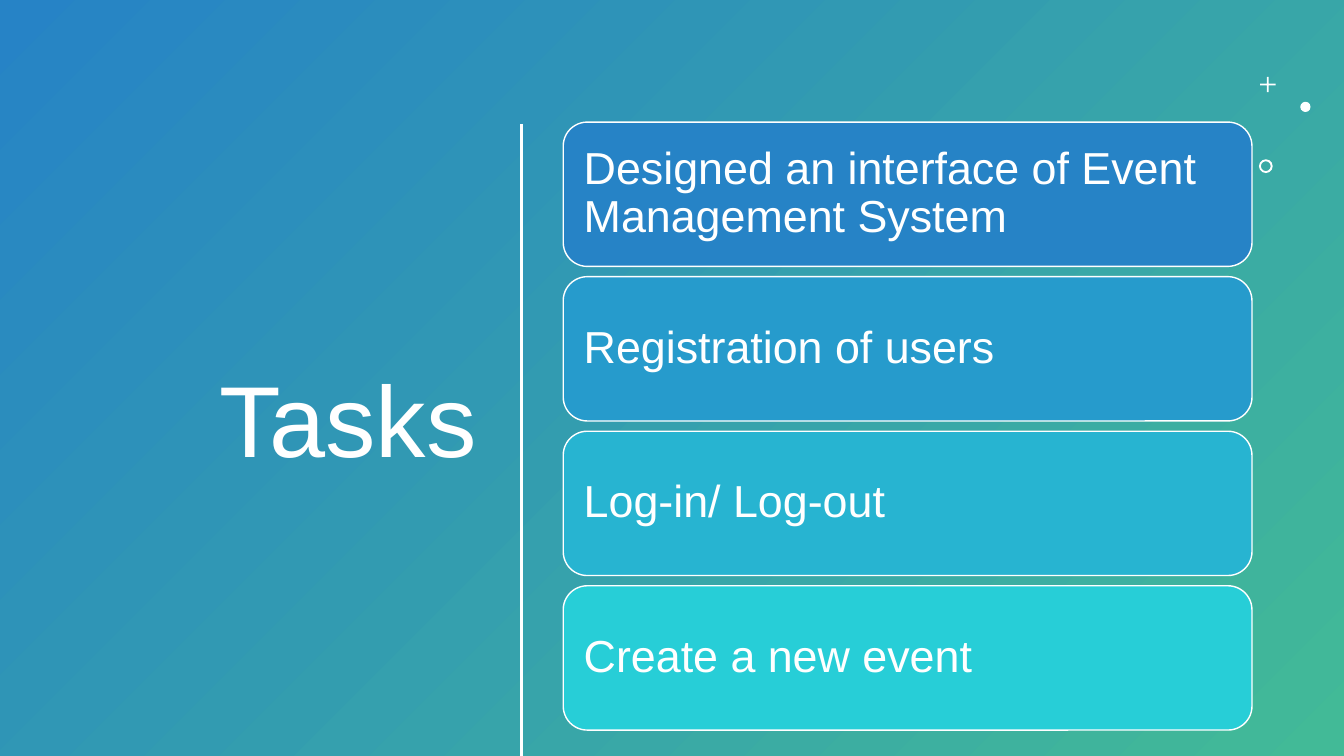
from lxml.etree import SubElement
from pptx import Presentation
from pptx.dml.color import RGBColor
from pptx.enum.shapes import MSO_CONNECTOR, MSO_SHAPE
from pptx.enum.text import MSO_ANCHOR, MSO_AUTO_SIZE, PP_ALIGN
from pptx.oxml.ns import qn
from pptx.util import Pt

COLORS = {"white": "FFFFFF", "blue": "2683C6", "sky": "269BCC",
          "cyan": "27B4D1", "turquoise": "27CED7", "green": "42BA97"}

TITLE = "Tasks"
TASKS = [
    ("Designed an interface of Event Management System", "blue"),
    ("Registration of users", "sky"),
    ("Log-in/ Log-out", "cyan"),
    ("Create a new event", "turquoise"),
]
ORNAMENTS = [
    (MSO_SHAPE.CROSS, 900.1, 54.9, 11, 0.44),
    (MSO_SHAPE.OVAL, 928.8, 72.7, 7.3, None),
    (MSO_SHAPE.DONUT, 899.3, 113.8, 9.8, 0.14),
]

SLIDE_WIDTH, SLIDE_HEIGHT = 960, 540
CARD_LEFT, CARD_TOP, CARD_WIDTH, CARD_HEIGHT = 402.3, 87.2, 492, 103.1
CARD_PITCH = 110.4
CARD_INSET = 9.6
RULE_X, RULE_TOP = 372.4, 88.5


def color(name):
    return RGBColor.from_string(COLORS[name])


def apply(target, values):
    for name, value in values.items():
        setattr(target, name, value)


def write(shape, text, size, alignment):
    frame = shape.text_frame
    frame.text = text
    apply(frame, {"word_wrap": True, "auto_size": MSO_AUTO_SIZE.NONE,
                  "vertical_anchor": MSO_ANCHOR.MIDDLE})
    paragraph = frame.paragraphs[0]
    apply(paragraph, {"alignment": alignment, "line_spacing": 0.9})
    font = paragraph.runs[0].font
    apply(font, {"name": "Arial", "size": Pt(size)})
    font.color.rgb = color("white")


def add_shape(slide, kind, left, top, width, height, fill=None):
    shape = slide.shapes.add_shape(kind, Pt(left), Pt(top), Pt(width), Pt(height))
    shape.shadow.inherit = False
    shape.line.fill.background()
    if fill:
        shape.fill.solid()
        shape.fill.fore_color.rgb = color(fill)
    return shape


def add_backdrop(slide):
    backdrop = add_shape(slide, MSO_SHAPE.RECTANGLE, 0, 0, SLIDE_WIDTH, SLIDE_HEIGHT)
    backdrop.fill.gradient()
    backdrop.fill.gradient_angle = 315
    for stop, name, position in zip(backdrop.fill.gradient_stops, ("blue", "green"), (0, 1)):
        stop.color.rgb = color(name)
        stop.position = position
    return backdrop


def add_rule(slide):
    rule = slide.shapes.add_connector(
        MSO_CONNECTOR.STRAIGHT, Pt(RULE_X), Pt(RULE_TOP), Pt(RULE_X), Pt(SLIDE_HEIGHT))
    rule.line.width = Pt(2)
    rule.line.color.rgb = color("white")
    SubElement(rule.element.spPr, qn("a:effectLst"))


def add_card(slide, index, text, fill):
    card = add_shape(slide, MSO_SHAPE.ROUNDED_RECTANGLE, CARD_LEFT,
                     CARD_TOP + index * CARD_PITCH, CARD_WIDTH, CARD_HEIGHT, fill)
    card.line.width = Pt(1)
    card.line.color.rgb = color("white")
    sides = ("left", "top", "right", "bottom")
    apply(card.text_frame, {f"margin_{side}": Pt(CARD_INSET) for side in sides})
    write(card, text, 32, PP_ALIGN.LEFT)


def main():
    presentation = Presentation()
    apply(presentation, {"slide_width": Pt(SLIDE_WIDTH), "slide_height": Pt(SLIDE_HEIGHT)})
    slide = presentation.slides.add_slide(presentation.slide_layouts[5])

    title = slide.shapes.title
    apply(title, {"left": Pt(37.4), "top": Pt(83.5), "width": Pt(310.3), "height": Pt(440)})
    write(title, TITLE, 72, PP_ALIGN.RIGHT)
    title.element.addprevious(add_backdrop(slide).element)

    for kind, left, top, size, adjustment in ORNAMENTS:
        ornament = add_shape(slide, kind, left, top, size, size, "white")
        if adjustment:
            ornament.adjustments[0] = adjustment
    add_rule(slide)
    for index, (text, fill) in enumerate(TASKS):
        add_card(slide, index, text, fill)

    presentation.save("out.pptx")


if __name__ == "__main__":
    main()
